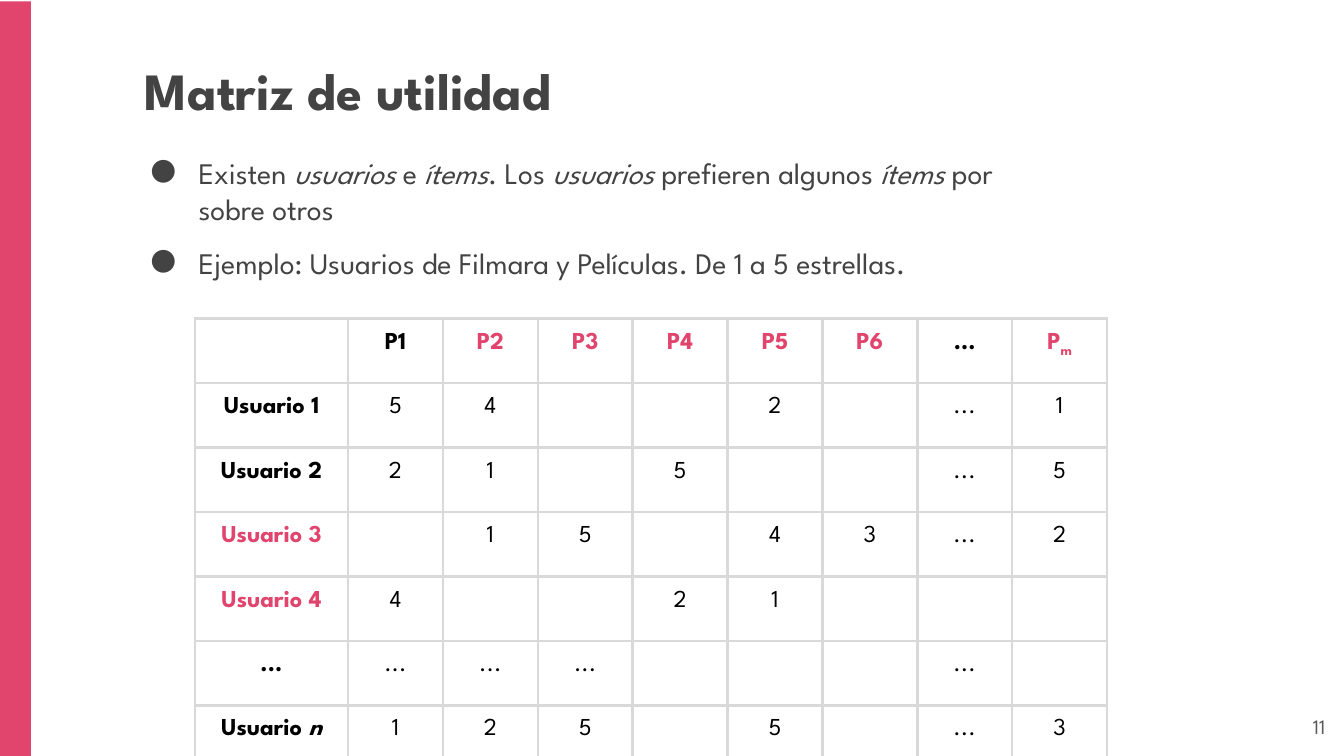
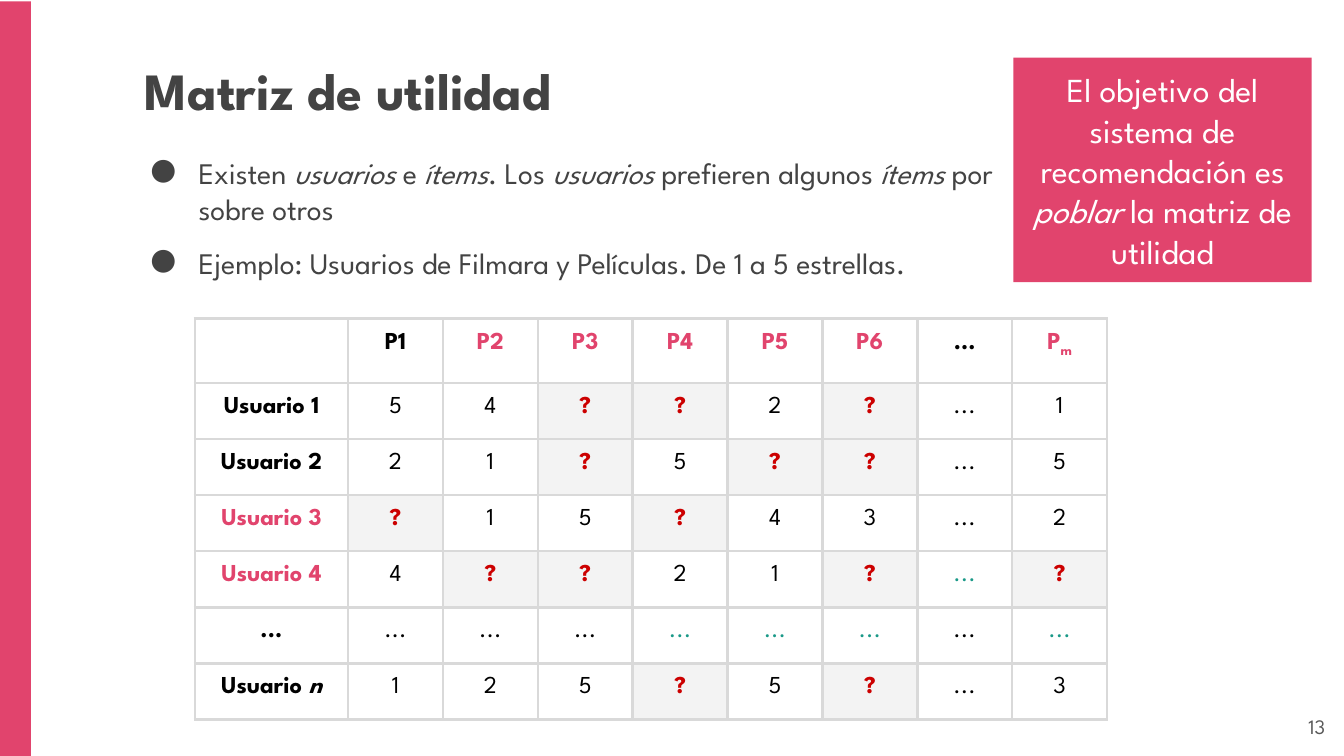
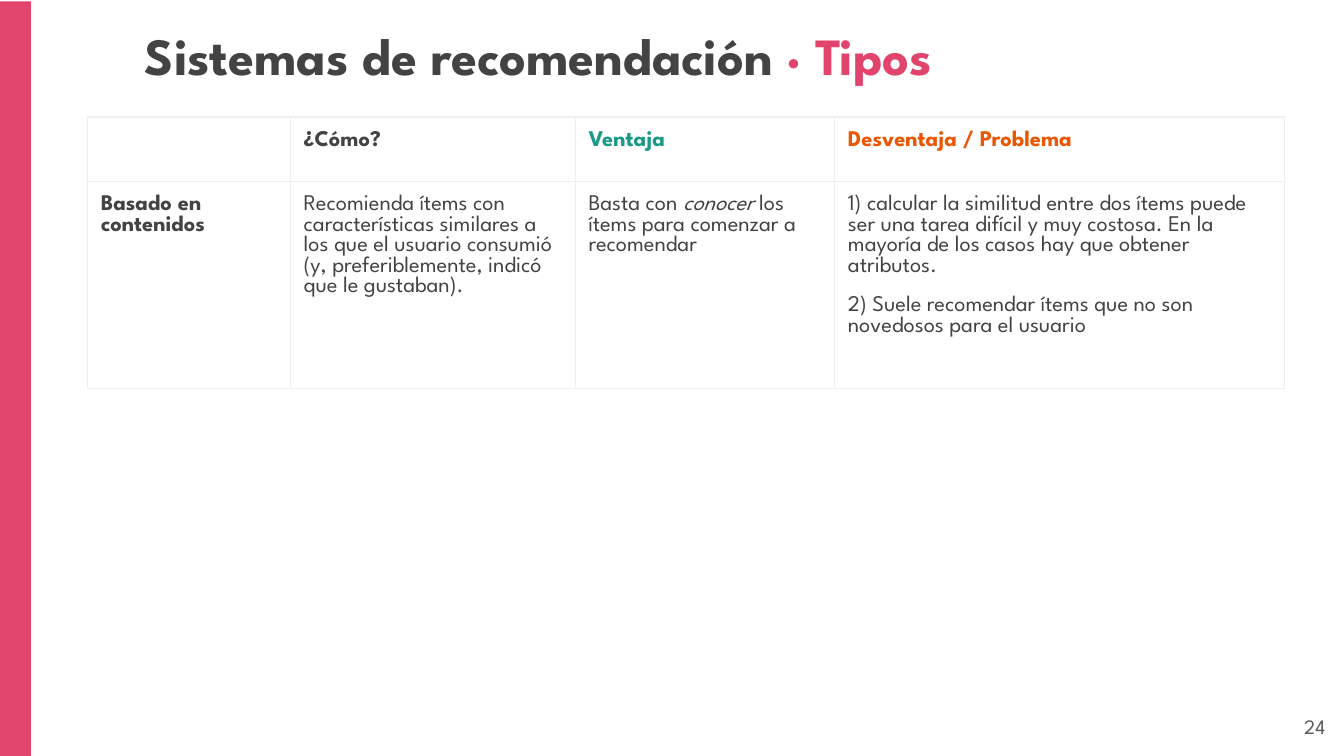
from lxml.etree import SubElement
from pptx import Presentation
from pptx.dml.color import RGBColor
from pptx.enum.shapes import MSO_SHAPE
from pptx.enum.text import MSO_ANCHOR, PP_ALIGN
from pptx.oxml.ns import qn
from pptx.util import Inches, Pt

WIDTH = 10
HEIGHT = WIDTH * 9 / 16
FONT = "League Spartan"
COLORS = {
    "pink": "E1446D",
    "text": "434343",
    "number": "595959",
    "black": "000000",
    "white": "FFFFFF",
    "red": "CC0000",
    "teal": "1A9988",
    "orange": "EB5600",
    "unknown": "F3F3F3",
    "grid": "D9D9D9",
    "light_grid": "EFEFEF",
}
MARGINS = {f"margin_{side}": Inches(0.1) for side in ("left", "right", "top", "bottom")}

INTRO = [
    "Existen *usuarios* e *ítems*. Los *usuarios* prefieren algunos *ítems* por sobre otros",
    "Ejemplo: Usuarios de Filmara y Películas. De 1 a 5 estrellas.",
]
RATINGS = [
    ["", "P1", "P2", "P3", "P4", "P5", "P6", "...", "P_m"],
    ["Usuario 1", "5", "4", "", "", "2", "", "...", "1"],
    ["Usuario 2", "2", "1", "", "5", "", "", "...", "5"],
    ["Usuario 3", "", "1", "5", "", "4", "3", "...", "2"],
    ["Usuario 4", "4", "", "", "2", "1", "", "", ""],
    ["...", "...", "...", "...", "", "", "", "...", ""],
    ["Usuario *n*", "1", "2", "5", "", "5", "", "...", "3"],
]
HIGHLIGHTED = {"P2", "P3", "P4", "P5", "P6", "P_m", "Usuario 3", "Usuario 4"}
TYPES = [
    ["", "¿Cómo?", "Ventaja", "Desventaja / Problema"],
    [
        "Basado en contenidos",
        "Recomienda ítems con características similares a los que el usuario consumió "
        "(y, preferiblemente, indicó que le gustaban).",
        "Basta con *conocer* los ítems para comenzar a recomendar",
        "1) calcular la similitud entre dos ítems puede ser una tarea difícil y muy costosa. "
        "En la mayoría de los casos hay que obtener atributos.\n"
        "2) Suele recomendar ítems que no son novedosos para el usuario",
    ],
]


def rgb(name):
    return RGBColor.from_string(COLORS[name])


def box(left, top, width, height):
    return [Inches(length) for length in (left, top, width, height)]


def set_all(target, values):
    for key, value in values.items():
        setattr(target, key, value)


def add_run(paragraph, words, color, **font_format):
    run = paragraph.add_run()
    run.text = words
    run.font.color.rgb = rgb(color)
    set_all(run.font, {"name": FONT, **font_format})
    return run


def write(paragraph, words, size, color, bold=False):
    """Write words, where *...* is italic and what follows _ is a subscript."""
    main_words, _, subscript = words.partition("_")
    style = {"size": Pt(size), "color": color, "bold": bold}
    for index, part in enumerate(main_words.split("*")):
        if part:
            add_run(paragraph, part, italic=index % 2 == 1, **style)
    if subscript:
        run = add_run(paragraph, subscript, **style)
        run.font._element.set("baseline", "-25000")
    if not words:
        SubElement(paragraph._p, qn("a:endParaRPr"), sz=str(size * 100))


def prepare_frame(frame, anchor):
    set_all(frame, {"word_wrap": True, "vertical_anchor": anchor, **MARGINS})
    return frame.paragraphs[0]


def add_text(slide, area, anchor=MSO_ANCHOR.TOP):
    frame = slide.shapes.add_textbox(*box(*area)).text_frame
    return frame, prepare_frame(frame, anchor)


def add_panel(slide, area):
    panel = slide.shapes.add_shape(MSO_SHAPE.RECTANGLE, *box(*area))
    panel.shadow.inherit = False
    panel.fill.solid()
    panel.fill.fore_color.rgb = rgb("pink")
    panel.line.fill.background()
    return panel


def start_slide(deck, number, title, accent="", title_top=0.33):
    """Add a slide with the side band, the title and the page number."""
    slide = deck.slides.add_slide(deck.slide_layouts[6])
    add_panel(slide, (0, 0.01, 0.23, HEIGHT))
    _, heading = add_text(slide, (0.98, title_top, 8.02, 0.64))
    write(heading, title, 28, "text", bold=True)
    if accent:
        write(heading, accent, 28, "pink", bold=True)
    _, page = add_text(slide, (9.36, 5.19, 0.6, 0.43), MSO_ANCHOR.MIDDLE)
    page.alignment = PP_ALIGN.RIGHT
    write(page, str(number), 11, "number")
    return slide


def add_bullets(slide, area, items):
    frame, paragraph = add_text(slide, area)
    for index, item in enumerate(items):
        if index:
            paragraph = frame.add_paragraph()
        properties = paragraph._p.get_or_add_pPr()
        properties.set("marL", str(Inches(0.5)))
        properties.set("indent", str(Inches(-0.36)))
        bullet_color = SubElement(properties, qn("a:buClr"))
        SubElement(bullet_color, qn("a:srgbClr"), val=COLORS["text"])
        SubElement(properties, qn("a:buSzPts"), val="1600")
        SubElement(properties, qn("a:buFont"), typeface=FONT)
        SubElement(properties, qn("a:buChar"), char="●")
        if index:
            paragraph.space_before = Pt(10)
        write(paragraph, item, 16, "text")


def style_cell(cell, border, border_width, fill):
    set_all(cell, {"vertical_anchor": MSO_ANCHOR.TOP, **MARGINS})
    properties = cell._tc.get_or_add_tcPr()
    for edge in ("lnL", "lnR", "lnT", "lnB"):
        line = SubElement(properties, qn(f"a:{edge}"), w=str(Pt(border_width)))
        SubElement(SubElement(line, qn("a:solidFill")), qn("a:srgbClr"), val=COLORS[border])
    if fill:
        cell.fill.solid()
        cell.fill.fore_color.rgb = rgb(fill)
    else:
        cell.fill.background()


def add_grid(slide, corner, widths, heights, border, border_width, size, align, content):
    """content(row, column) gives the words, colour, boldness and fill of a cell."""
    area = box(*corner, sum(widths), sum(heights))
    table = slide.shapes.add_table(len(heights), len(widths), *area).table
    table.first_row = table.horz_banding = False
    for column, width in zip(table.columns, widths):
        column.width = Inches(width)
    for row, height in zip(table.rows, heights):
        row.height = Inches(height)
    for position in range(len(heights) * len(widths)):
        row, column = divmod(position, len(widths))
        words, color, bold, fill = content(row, column)
        cell = table.cell(row, column)
        style_cell(cell, border, border_width, fill)
        paragraph = cell.text_frame.paragraphs[0]
        for index, part in enumerate(words.split("\n")):
            if index:
                paragraph = cell.text_frame.add_paragraph()
                paragraph.space_before = Pt(10)
            paragraph.alignment = align
            paragraph.line_spacing = 1.0
            write(paragraph, part, size, color, bold)


def known_rating(row, column):
    words = RATINGS[row][column]
    color = "pink" if words in HIGHLIGHTED else "black"
    return words, color, row == 0 or column == 0, None


def completed_rating(row, column):
    """Mark each missing rating, or continue the ellipsis of its row or column."""
    if RATINGS[row][column] or row == column == 0:
        return known_rating(row, column)
    if "..." in (RATINGS[row][0], RATINGS[0][column]):
        return "...", "teal", False, None
    return "?", "red", True, "unknown"


def type_detail(row, column):
    header_colors = ["text", "text", "teal", "orange"]
    color = header_colors[column] if row == 0 else "text"
    return TYPES[row][column], color, row == 0 or column == 0, None


def add_utility_slide(deck, number, content, row_height):
    slide = start_slide(deck, number, "Matriz de utilidad")
    add_bullets(slide, (0.88, 1.05, 6.66, 0.82), INTRO)
    users, items = len(RATINGS) - 1, len(RATINGS[0]) - 1
    add_grid(slide, (1.45, 2.37), [1.14] + [5.65 / items] * items, [0.48] + [row_height] * users,
             "grid", 1.5, 13, PP_ALIGN.CENTER, content)
    return slide


def add_goal(slide):
    goal = add_panel(slide, (7.54, 0.43, 2.22, 1.67))
    paragraph = prepare_frame(goal.text_frame, MSO_ANCHOR.MIDDLE)
    paragraph.alignment = PP_ALIGN.CENTER
    write(paragraph, "El objetivo del sistema de recomendación es *poblar* la matriz de utilidad",
          18, "white")


def add_types_slide(deck, number):
    slide = start_slide(deck, number, "Sistemas de recomendación ", "· Tipos", title_top=0.07)
    add_grid(slide, (0.65, 0.87), [1.51, 2.12, 1.93, 3.35], [0.48, 1.26],
             "light_grid", 0.75, 12, PP_ALIGN.LEFT, type_detail)


def main():
    deck = Presentation()
    deck.slide_width, deck.slide_height = Inches(WIDTH), Inches(HEIGHT)
    add_utility_slide(deck, 11, known_rating, 0.48)
    add_goal(add_utility_slide(deck, 13, completed_rating, 0.41))
    add_types_slide(deck, 24)
    deck.save("out.pptx")


if __name__ == "__main__":
    main()
